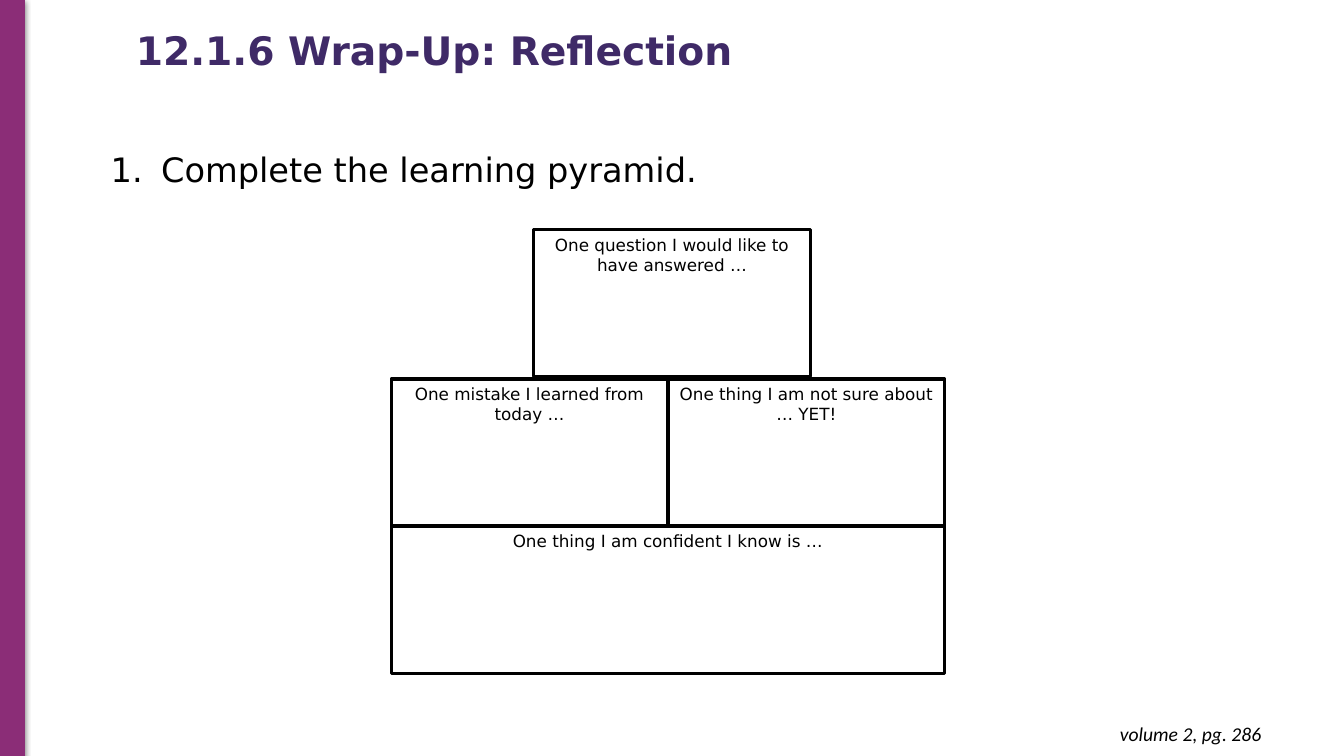
from lxml import etree
from pptx import Presentation
from pptx.dml.color import RGBColor
from pptx.enum.shapes import MSO_SHAPE
from pptx.enum.text import MSO_ANCHOR, PP_ALIGN
from pptx.oxml import parse_xml
from pptx.oxml.ns import qn
from pptx.util import Inches, Pt

RECTANGLE = MSO_SHAPE.RECTANGLE
TOP, MIDDLE = MSO_ANCHOR.TOP, MSO_ANCHOR.MIDDLE
LEFT, CENTER, RIGHT = PP_ALIGN.LEFT, PP_ALIGN.CENTER, PP_ALIGN.RIGHT
DRAWING = "http://schemas.openxmlformats.org/drawingml/2006/main"

# Content
TITLE = "12.1.6 Wrap-Up: Reflection"
TASK = "Complete the learning pyramid."
PAGE = "volume 2, pg. 286"
# Pyramid rows from the top: left, top, total width, prompts
PYRAMID = [
    (5.29, 2.28, 2.75, ["One question I would like to have answered …"]),
    (3.88, 3.76, 5.49, ["One mistake I learned from today …",
                        "One thing I am not sure about … YET!"]),
    (3.88, 5.22, 5.49, ["One thing I am confident I know is …"]),
]
ROW_HEIGHT = 1.46
SANS, SERIES = "DejaVu Sans", "Calibri"
BLACK, WHITE, PLUM, PURPLE = "000000", "FFFFFF", "8B2D77", "3F2A67"


def color(value):
    return RGBColor.from_string(value)


def add_box(slide, left, top, width, height, fill, line, line_width):
    shape = slide.shapes.add_shape(
        RECTANGLE, Inches(left), Inches(top), Inches(width), Inches(height))
    shape.shadow.inherit = False
    shape.fill.solid()
    shape.fill.fore_color.rgb = color(fill)
    shape.line.color.rgb = color(line)
    shape.line.width = Pt(line_width)
    return shape


def write(shape, text, size, ink=BLACK, font=SANS, align=LEFT, anchor=TOP,
          bold=False, italic=False):
    frame = shape.text_frame
    frame.word_wrap = True
    frame.vertical_anchor = anchor
    paragraph = frame.paragraphs[0]
    paragraph.alignment = align
    run = paragraph.add_run()
    run.text = text
    run.font.name = font
    run.font.size = Pt(size)
    run.font.bold = bold
    run.font.italic = italic
    run.font.color.rgb = color(ink)
    return paragraph


def add_text_box(slide, left, top, width, height):
    return slide.shapes.add_textbox(
        Inches(left), Inches(top), Inches(width), Inches(height))


def number_paragraph(paragraph, indent):
    properties = paragraph._p.get_or_add_pPr()
    properties.set("marL", str(Inches(indent)))
    properties.set("indent", str(-Inches(indent)))
    bullet_color = etree.SubElement(properties, qn("a:buClr"))
    etree.SubElement(bullet_color, qn("a:srgbClr"), val=BLACK)
    etree.SubElement(properties, qn("a:buFont"), typeface=SANS)
    etree.SubElement(properties, qn("a:buAutoNum"), type="arabicPeriod")


def add_shadow(shape):
    effects = shape._element.spPr.find(qn("a:effectLst"))
    effects.append(parse_xml(
        f'<a:outerShdw xmlns:a="{DRAWING}" blurRad="{Pt(4.5)}" '
        f'dist="{Pt(1.5)}" dir="5400000" rotWithShape="0">'
        f'<a:srgbClr val="{BLACK}"><a:alpha val="50000"/></a:srgbClr>'
        '</a:outerShdw>'))


presentation = Presentation()
presentation.slide_width = Inches(13.33)
presentation.slide_height = Inches(7.5)
slide = presentation.slides.add_slide(presentation.slide_layouts[6])

# Side bar
side_bar = add_box(slide, 0, 0, 0.24, 7.51, PLUM, PLUM, 0.75)
add_shadow(side_bar)

# Title, task and page reference
title_box = add_text_box(slide, 1.25, -0.2, 8.77, 1.45)
title = write(title_box, TITLE, 28, PURPLE, anchor=MIDDLE, bold=True)
title.line_spacing = 0.9

task_box = add_text_box(slide, 1, 1.43, 11.5, 0.5)
number_paragraph(write(task_box, TASK, 24), 0.5)

page_box = add_text_box(slide, 9.73, 7.06, 2.88, 0.44)
page_box.text_frame.margin_top = page_box.text_frame.margin_bottom = Inches(0.1)
write(page_box, PAGE, 14, font=SERIES, align=RIGHT, italic=True)

# Learning pyramid
for left, top, row_width, prompts in PYRAMID:
    width = row_width / len(prompts)
    for column, prompt in enumerate(prompts):
        block = add_box(slide, left + column * width, top, width, ROW_HEIGHT,
                        WHITE, BLACK, 2.25)
        paragraph = write(block, prompt, 12, align=CENTER)
        paragraph.space_after = Pt(10)

presentation.save("out.pptx")
